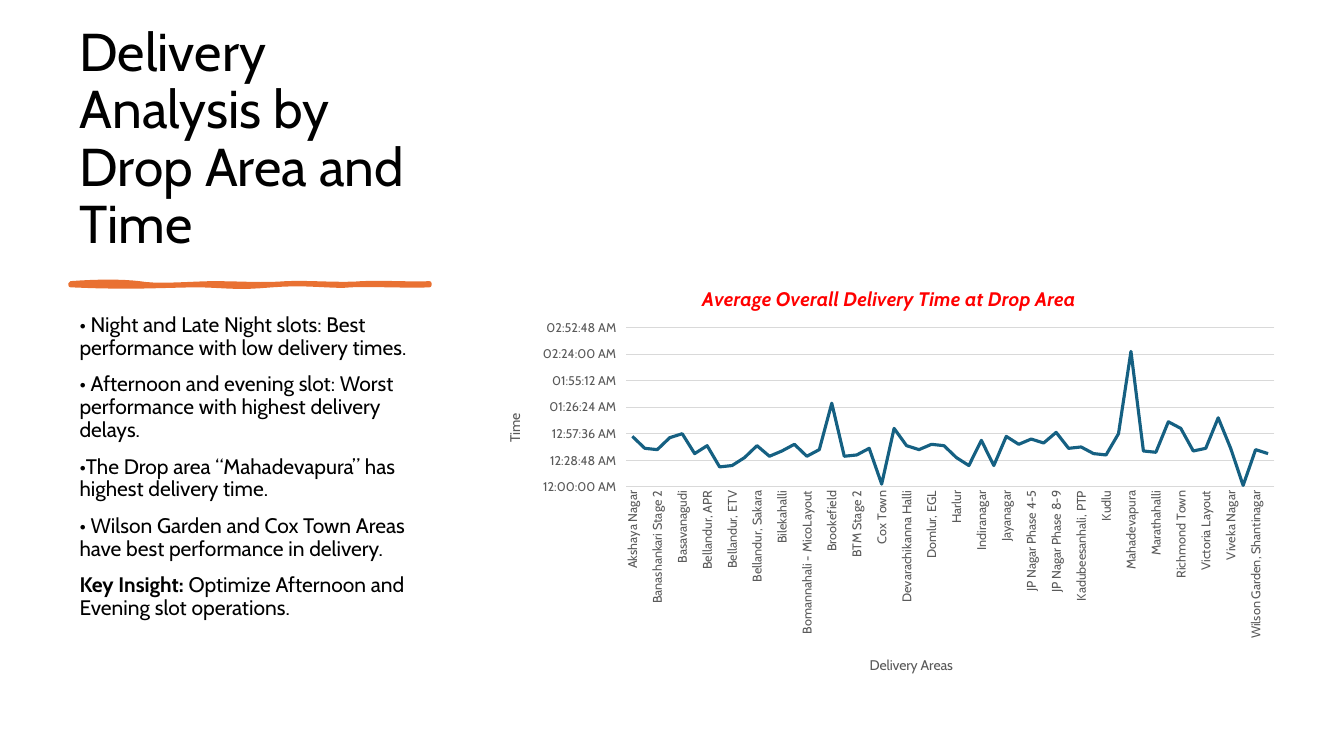
from pptx import Presentation
from pptx.chart.data import CategoryChartData
from pptx.dml.color import RGBColor
from pptx.enum.chart import XL_CHART_TYPE, XL_TICK_MARK
from pptx.enum.text import MSO_ANCHOR
from pptx.oxml.ns import qn
from pptx.oxml.xmlchemy import OxmlElement
from pptx.util import Inches, Pt

LINE_CHART = XL_CHART_TYPE.LINE
NO_TICK, TICK_OUT = XL_TICK_MARK.NONE, XL_TICK_MARK.OUTSIDE
TOP, BOTTOM = MSO_ANCHOR.TOP, MSO_ANCHOR.BOTTOM

FONT = "Cabin"
BLACK, GREY, GRID, RED = "000000", "595959", "D9D9D9", "FF0000"
ORANGE, BLUE = "E97132", "156082"
UPWARD = "-5400000"
CHART_LEFT, CHART_TOP, CHART_WIDTH, CHART_HEIGHT = 4.8, 2.6, 8.01, 4.26

# Each paragraph is a list of (text, bold) spans.
FINDINGS = [
    [("• Night and Late Night slots: Best performance with low delivery times.", False)],
    [("• Afternoon and evening slot: Worst performance with highest delivery delays.", False)],
    [("•The Drop area “Mahadevapura” has highest delivery time.", False)],
    [("• Wilson Garden and Cox Town Areas have best performance in delivery.", False)],
    [("Key Insight: ", True), ("Optimize Afternoon and Evening slot operations.", False)],
]

# Start point, then Bezier triples (control, control, end).
BRUSH_START = (0.7, 2.81)
BRUSH_CURVES = [
    ((0.97, 2.79), (1.21, 2.79), (1.38, 2.81)),
    ((1.55, 2.84), (1.77, 2.82), (2.09, 2.81)),
    ((2.41, 2.81), (2.6, 2.83), (2.84, 2.81)),
    ((3.08, 2.8), (3.39, 2.83), (3.59, 2.81)),
    ((3.79, 2.8), (4.12, 2.82), (4.26, 2.81)),
    ((4.26, 2.82), (4.26, 2.83), (4.26, 2.83)),
    ((4.08, 2.84), (3.64, 2.82), (3.48, 2.83)),
    ((3.32, 2.85), (3.04, 2.8), (2.7, 2.83)),
    ((2.35, 2.86), (2.31, 2.84), (1.99, 2.83)),
    ((1.66, 2.83), (1.32, 2.86), (0.7, 2.83)),
]

DELIVERY_TIMES = [
    ("Akshaya Nagar", 0.038), ("Arekere", 0.029), ("Banashankari Stage 2", 0.028),
    ("Bannerghatta", 0.037), ("Basavanagudi", 0.04),
    ("Bellandur - Off Sarjapur Road", 0.025), ("Bellandur, APR", 0.031),
    ("Bellandur, Ecospace", 0.015), ("Bellandur, ETV", 0.016),
    ("Bellandur, Green Glen", 0.022), ("Bellandur, Sakara", 0.031),
    ("Bellandur, Sarjapur Road", 0.023), ("Bilekahalli", 0.027), ("Binnipet", 0.032),
    ("Bomannahali - MicoLayout", 0.023), ("Bommanahalli", 0.028), ("Brookefield", 0.063),
    ("BTM Stage 1", 0.023), ("BTM Stage 2", 0.024), ("Challagatta", 0.029),
    ("Cox Town", 0.002), ("CV Raman Nagar", 0.044), ("Devarachikanna Halli", 0.031),
    ("Doddanekundi", 0.028), ("Domlur, EGL", 0.032), ("Frazer Town", 0.031),
    ("Harlur", 0.022), ("HSR Layout", 0.016), ("Indiranagar", 0.035),
    ("ITI Layout", 0.016), ("Jayanagar", 0.038), ("JP Nagar Phase 1-3", 0.032),
    ("JP Nagar Phase 4-5", 0.036), ("JP Nagar Phase 6-7", 0.033),
    ("JP Nagar Phase 8-9", 0.041), ("Kadubeesanhali, Heritage", 0.029),
    ("Kadubeesanhali, PTP", 0.03), ("Koramangala, Ejipura", 0.025), ("Kudlu", 0.024),
    ("Kumaraswamy Layout", 0.04), ("Mahadevapura", 0.102), ("Manipal County", 0.027),
    ("Marathahalli", 0.026), ("Pattandur", 0.049), ("Richmond Town", 0.044),
    ("Sarjapur Road", 0.027), ("Victoria Layout", 0.029), ("Vimanapura", 0.052),
    ("Viveka Nagar", 0.029), ("Whitefield", 0.001),
    ("Wilson Garden, Shantinagar", 0.028), ("Yemalur", 0.025),
]


def rgb(hex_color):
    return RGBColor.from_string(hex_color)


def style_font(font, size, color, bold=False, italic=False):
    font.name, font.size, font.bold, font.italic = FONT, Pt(size), bold, italic
    font.color.rgb = rgb(color)


def add_text(page, left, top, width, height, paragraphs, size, anchor):
    box = page.shapes.add_textbox(Inches(left), Inches(top), Inches(width), Inches(height))
    frame = box.text_frame
    frame.word_wrap = True
    frame.vertical_anchor = anchor
    for index, spans in enumerate(paragraphs):
        para = frame.add_paragraph() if index else frame.paragraphs[0]
        para.line_spacing = 0.9
        para.space_before = Pt(10 if index else 0)
        for text, bold in spans:
            span = para.add_run()
            span.text = text
            style_font(span.font, size, BLACK, bold)


def curve_points(start, curves, steps=8):
    """Sample a chain of cubic Bezier curves into points in EMU."""
    points = []
    for first, second, end in curves:
        for step in range(1, steps + 1):
            t = step / steps
            u = 1 - t
            points.append(tuple(
                Inches(u**3 * a + 3 * u * u * t * b + 3 * u * t * t * c + t**3 * d)
                for a, b, c, d in zip(start, first, second, end)))
        start = end
    return points


def add_brush_stroke(page):
    builder = page.shapes.build_freeform(*(Inches(value) for value in BRUSH_START))
    builder.add_line_segments(curve_points(BRUSH_START, BRUSH_CURVES))
    stroke = builder.convert_to_shape()
    stroke.shadow.inherit = False
    stroke.fill.solid()
    stroke.fill.fore_color.rgb = rgb(ORANGE)
    stroke.line.color.rgb = rgb(ORANGE)
    stroke.line.width = Pt(3)


def place_in_chart(element, left, top, width=None, height=None):
    """Fix a chart part at a slide position given in inches."""
    layout = element.find(qn("c:layout"))
    if layout is None:
        layout = OxmlElement("c:layout")
        element.insert(0, layout)
    settings = [("xMode", "edge"), ("yMode", "edge"),
                ("x", (left - CHART_LEFT) / CHART_WIDTH),
                ("y", (top - CHART_TOP) / CHART_HEIGHT)]
    if width:
        settings.insert(0, ("layoutTarget", "inner"))
        settings += [("w", width / CHART_WIDTH), ("h", height / CHART_HEIGHT)]
    manual = OxmlElement("c:manualLayout")
    layout.append(manual)
    for name, value in settings:
        setting = OxmlElement(f"c:{name}")
        setting.set("val", str(value))
        manual.append(setting)


def set_title(title, text, left, top, size, color, emphasis=False, rotation="0"):
    frame = title.text_frame
    frame.text = text
    style_font(frame.paragraphs[0].runs[0].font, size, color, emphasis, emphasis)
    frame._txBody.bodyPr.set("rot", rotation)
    place_in_chart(title._element, left, top)


def style_axes(chart):
    areas, times = chart.category_axis, chart.value_axis
    for axis in (areas, times):
        style_font(axis.tick_labels.font, 9, GREY)
    areas.major_tick_mark = areas.minor_tick_mark = NO_TICK
    areas.format.line.color.rgb = rgb(GRID)
    areas.format.line.width = Pt(0.75)
    areas._element.find(qn("c:txPr")).bodyPr.set("rot", UPWARD)
    times.major_tick_mark, times.minor_tick_mark = TICK_OUT, NO_TICK
    times.minimum_scale, times.maximum_scale, times.major_unit = 0, 0.12, 0.02
    times.format.line.fill.background()
    times.major_gridlines.format.line.color.rgb = rgb(GRID)
    times.major_gridlines.format.line.width = Pt(0.75)
    times.tick_labels.number_format = r"[$-F400]h:mm:ss\ AM/PM"
    times.tick_labels.number_format_is_linked = False
    set_title(areas.axis_title, "Delivery Areas", 8.6, 6.47, 10, GREY)
    set_title(times.axis_title, "Time", 4.98, 4.08, 10, GREY, rotation=UPWARD)


def add_delivery_chart(page):
    data = CategoryChartData()
    data.categories = [area for area, _ in DELIVERY_TIMES]
    data.add_series("Series 1", [time for _, time in DELIVERY_TIMES])
    chart = page.shapes.add_chart(
        LINE_CHART, Inches(CHART_LEFT), Inches(CHART_TOP),
        Inches(CHART_WIDTH), Inches(CHART_HEIGHT), data).chart
    style_font(chart.font, 10, BLACK)
    chart.has_legend = False
    chart.plots[0].vary_by_categories = False
    series = chart.plots[0].series[0]
    series.smooth = False
    series.format.line.color.rgb = rgb(BLUE)
    series.format.line.width = Pt(2.25)
    style_axes(chart)
    set_title(chart.chart_title, "Average Overall Delivery Time at Drop Area",
              6.93, 2.79, 14, RED, emphasis=True)
    place_in_chart(chart._chartSpace.chart.plotArea, 6.21, 3.25, 6.43, 1.58)


def main():
    deck = Presentation()
    deck.slide_width, deck.slide_height = Inches(13.33), Inches(7.5)
    page = deck.slides.add_slide(deck.slide_layouts[6])
    add_text(page, 0.69, 0.7, 3.75, 1.88,
             [[("Delivery Analysis by Drop Area and Time", False)]], 38, BOTTOM)
    add_brush_stroke(page)
    add_text(page, 0.69, 3.07, 3.75, 3.73, FINDINGS, 15, TOP)
    add_delivery_chart(page)
    deck.save("out.pptx")


if __name__ == "__main__":
    main()
